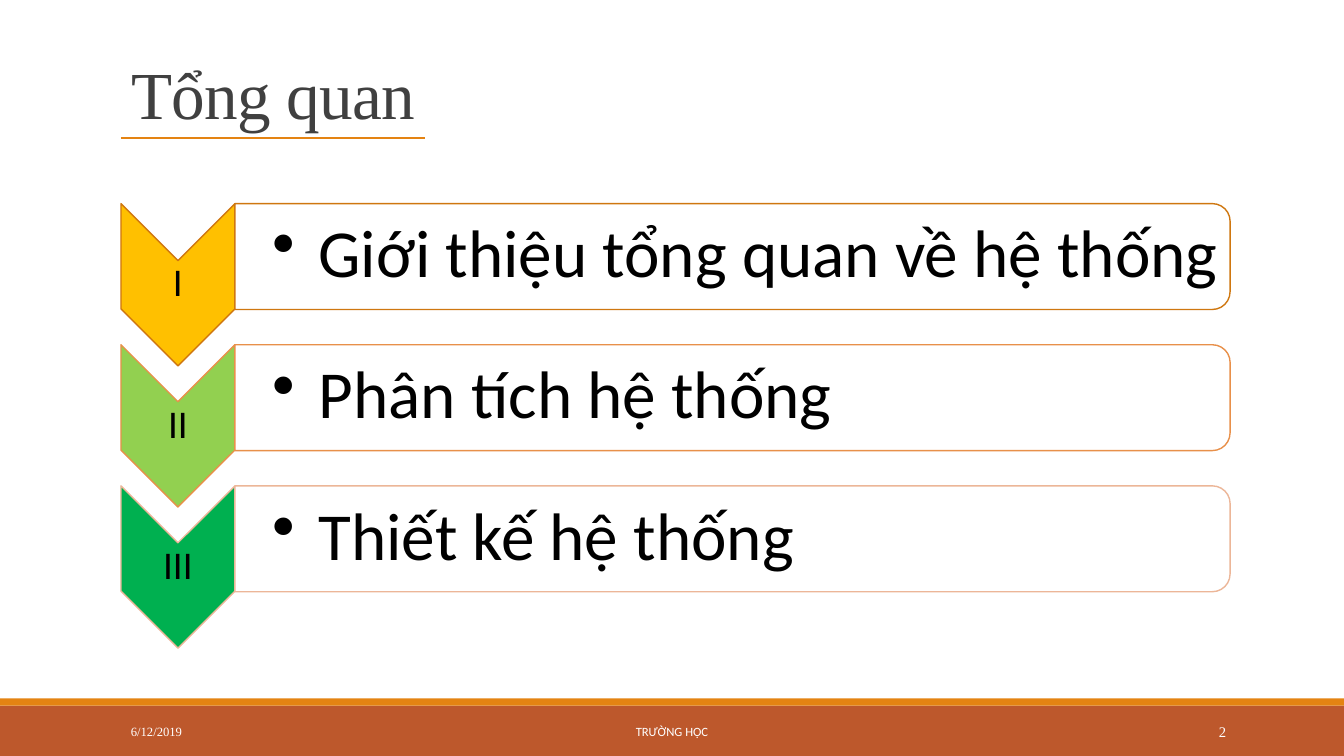
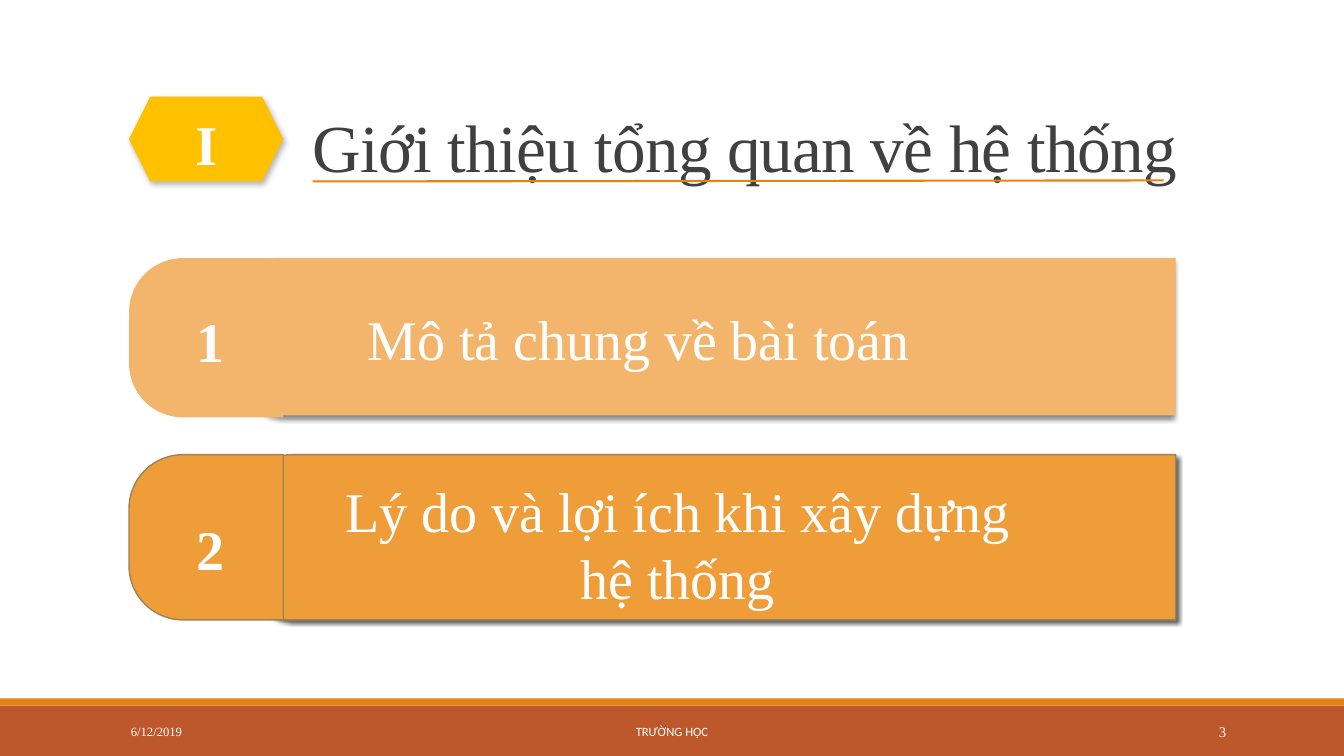
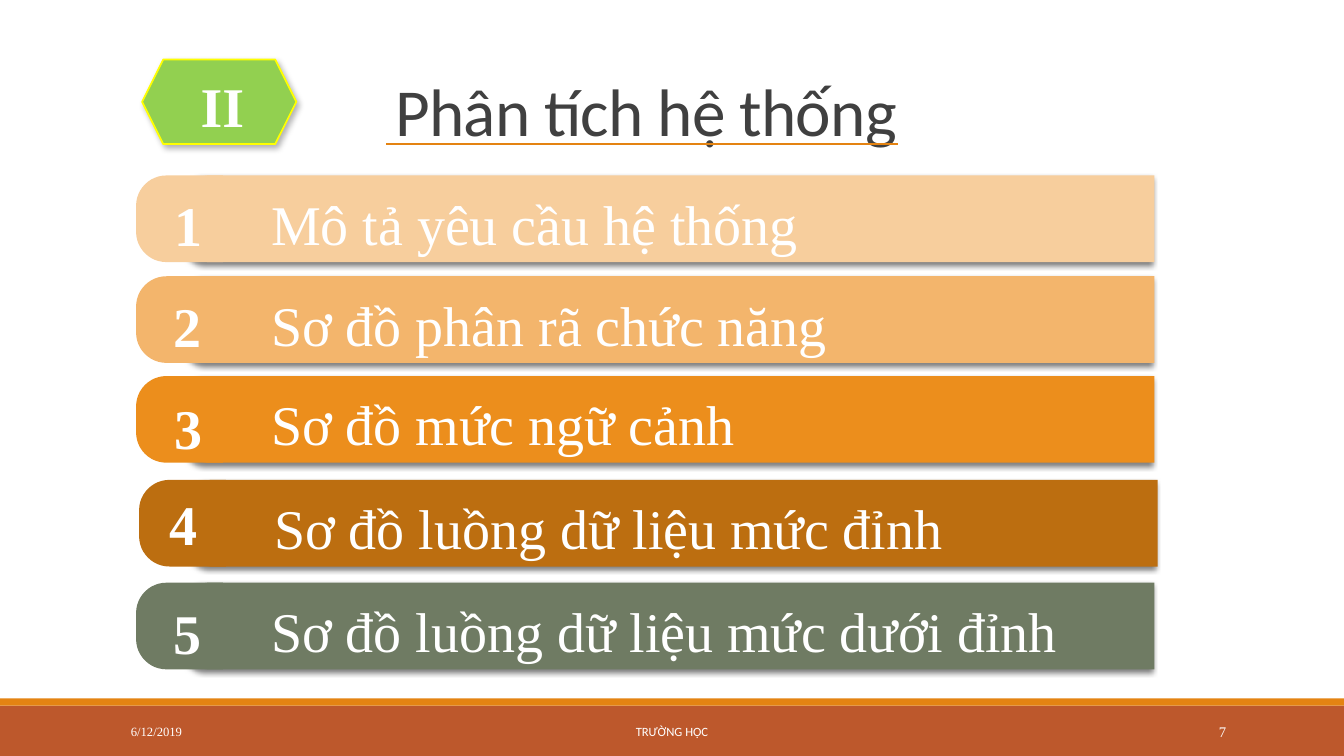
from lxml import etree
from pptx import Presentation
from pptx.dml.color import RGBColor
from pptx.enum.shapes import MSO_CONNECTOR as Connector, MSO_SHAPE as Preset
from pptx.enum.text import MSO_ANCHOR as Anchor, MSO_AUTO_SIZE as AutoSize, PP_ALIGN as Align
from pptx.oxml.ns import qn
from pptx.util import Emu, Pt

PX = 9144  # 100 px to the inch
SERIF, SANS = "Times New Roman", "Calibri"
WHITE, BLACK, TITLE_GREY = "FFFFFF", "000000", "404040"
ORANGE, RUST = "E48312", "BD582C"
DATE, FOOTER = "6/12/2019", "TRƯỜNG HỌC"

# Shadows: opacity %, blur pt, distance pt, direction in degrees
BAR_SHADOW = (50, 4, 3, 135)
STRONG_SHADOW = (60, 3, 2, 45)
BADGE_SHADOW = (30, 4.5, 2.6, 53)


def px(*lengths):
    return [Emu(round(length * PX)) for length in lengths]


def rgb(value):
    return RGBColor.from_string(value)


def add_shadow(shape, opacity, blur, distance, direction):
    effects = shape._element.spPr.find(qn("a:effectLst"))
    shadow = etree.SubElement(
        effects, qn("a:outerShdw"), blurRad=str(Pt(blur)), dist=str(Pt(distance)),
        dir=str(direction * 60000), algn="ctr", rotWithShape="0")
    color = etree.SubElement(shadow, qn("a:srgbClr"), val=BLACK)
    etree.SubElement(color, qn("a:alpha"), val=str(opacity * 1000))


def add_shape(page, preset, box, fill, line=None, width=1, shadow=None, turn=0, adjust=()):
    """Draw a preset shape; box is how it appears after a turn of 0, 90 or 270 degrees."""
    left, top, wide, high = box
    if turn:
        left, top = left + (wide - high) / 2, top + (high - wide) / 2
        wide, high = high, wide
    shape = page.shapes.add_shape(preset, *px(left, top, wide, high))
    shape.rotation = turn
    for index, value in enumerate(adjust):
        shape.adjustments[index] = value
    shape.shadow.inherit = False
    shape.fill.solid()
    shape.fill.fore_color.rgb = rgb(fill)
    if line:
        shape.line.color.rgb = rgb(line)
        shape.line.width = Pt(width)
    else:
        shape.line.fill.background()
    if shadow:
        add_shadow(shape, *shadow)
    return shape


def style_paragraph(para, size, font, color, bold=False, align=Align.LEFT):
    para.alignment = align
    para.font.size = Pt(size)
    para.font.name = font
    para.font.bold = bold
    para.font.color.rgb = rgb(color)


def add_text(page, text, box, size, font=SERIF, color=WHITE, bold=False,
             align=Align.LEFT, anchor=Anchor.MIDDLE, insets=(10, 5, 10, 5)):
    frame = page.shapes.add_textbox(*px(*box)).text_frame
    frame.word_wrap = True
    frame.vertical_anchor = anchor
    (frame.margin_left, frame.margin_top,
     frame.margin_right, frame.margin_bottom) = px(*insets)
    para = frame.paragraphs[0]
    para.text = text
    style_paragraph(para, size, font, color, bold, align)
    return para


def add_bullet(para, indent):
    properties = para._p.get_or_add_pPr()
    properties.set("marL", str(indent * PX))
    properties.set("indent", str(-indent * PX))
    bullet = etree.Element(qn("a:buChar"), char="•")
    properties.find(qn("a:defRPr")).addprevious(bullet)


def add_underline(page, left, right, start_y, end_y):
    rule = page.shapes.add_connector(Connector.STRAIGHT, *px(left, start_y, right, end_y))
    rule.line.color.rgb = rgb(ORANGE)
    rule.line.width = Pt(1.5)
    etree.SubElement(rule._element.spPr, qn("a:effectLst"))


def add_bands(page, layout):
    """Draw the bottom bands and move them to the layout that all pages share."""
    for position, (box, fill) in enumerate(
            [((0, 700, 1333, 50), RUST), ((0, 693, 1333, 7), ORANGE)], start=2):
        band = add_shape(page, Preset.RECTANGLE, box, fill)
        layout.shapes.element.insert(position, band._element)


def add_page(deck, layout, title, title_box, number, font=SERIF):
    page = deck.slides.add_slide(layout)
    holder = page.shapes.title
    holder.left, holder.top, holder.width, holder.height = px(*title_box)
    frame = holder.text_frame
    frame.text = title
    frame.word_wrap = True
    frame.auto_size = AutoSize.NONE
    frame.vertical_anchor = Anchor.BOTTOM
    para = frame.paragraphs[0]
    style_paragraph(para, 48, font, TITLE_GREY)
    para.line_spacing = 0.85
    para._p.pPr.find(qn("a:defRPr")).set("spc", "-50")

    add_text(page, DATE, (120, 706, 270, 40), 9)
    add_text(page, FOOTER, (403, 706, 527, 40), 9, SANS, align=Align.CENTER)
    add_text(page, str(number), (1083, 706, 143, 40), 10.5, align=Align.RIGHT)
    return page


def add_number(page, text, left, top):
    add_text(page, text, (left, top, 85, 77), 40, bold=True, align=Align.CENTER)


def add_badge(page, numeral, left, top, number_left, fill, line=None):
    add_shape(page, Preset.HEXAGON, (left, top, 153, 84), fill, line, 1.25, BADGE_SHADOW)
    add_number(page, numeral, number_left, top + 7)


def add_bar(page, tab_box, bar_box, fill, line=None, shadow=BAR_SHADOW):
    """Draw a long bar with a rounded tab over its left end."""
    preset = Preset.ROUND_2_SAME_RECTANGLE
    add_shape(page, preset, bar_box, fill, line, shadow=shadow, turn=270, adjust=(0.23, 0))
    add_shape(page, preset, tab_box, fill, line, turn=270, adjust=(0.35, 0))


def add_chapter(page, top, numeral, text, fill, line):
    add_shape(page, Preset.CHEVRON, (120, top, 113, 161), fill, line, turn=90)
    para = add_text(page, numeral, (120, top + 56, 113, 48), 28, SANS, BLACK,
                    align=Align.CENTER, insets=(2, 2, 2, 2))
    para.line_spacing = 0.9
    add_shape(page, Preset.ROUND_2_SAME_RECTANGLE, (233, top, 987, 105), WHITE, line, turn=90)
    para = add_text(page, text, (233, top + 5, 982, 94), 48, SANS, BLACK,
                    insets=(37, 3, 3, 3))
    para.line_spacing = 0.9
    add_bullet(para, 46)


def fill_overview(page):
    add_underline(page, 120, 422, 137, 137)
    chapters = [
        ("I", "Giới thiệu tổng quan về hệ thống", "FFC000", "CF7710"),
        ("II", "Phân tích hệ thống", "92D050", "E8904A"),
        ("III", "Thiết kế hệ thống", "00B050", "ECB698"),
    ]
    for row, chapter in enumerate(chapters):
        add_chapter(page, 202 + 140 * row, *chapter)


def fill_introduction(page):
    add_bar(page, (128, 256, 153, 158), (247, 256, 919, 156), "F3B56C")
    add_bar(page, (128, 451, 153, 164), (251, 451, 915, 164), "EF9D39", "9B8357",
            STRONG_SHADOW)
    topics = [
        ("Mô tả chung về bài toán", (310, 297, 647, 77), 299),
        ("Lý do và lợi ích khi xây dựng hệ thống", (327, 468, 690, 145), 505),
    ]
    for number, (text, box, number_top) in enumerate(topics, start=1):
        add_text(page, text, box, 40, align=Align.CENTER, anchor=Anchor.TOP)
        add_number(page, str(number), 166, number_top)
    add_badge(page, "I", 128, 96, 162, "FFC000")
    add_underline(page, 310, 1154, 180, 179)


def fill_analysis(page):
    add_badge(page, "II", 141, 59, 178, "92D050", "FFFF00")
    add_underline(page, 383, 891, 143, 143)
    # Text, fill, left and top of the row, left and top of its number
    topics = [
        ("Mô tả yêu cầu hệ thống", "F7CE9D", 135, 174, 144, 184),
        ("Sơ đồ phân rã chức năng", "F3B56C", 135, 274, 143, 284),
        ("Sơ đồ mức ngữ cảnh", "EC8E1C", 135, 373, 144, 385),
        ("Sơ đồ luồng dữ liệu mức đỉnh", "BC6E10", 138, 476, 139, 480),
        ("Sơ đồ luồng dữ liệu mức dưới đỉnh", "6F7B63", 135, 578, 143, 589),
    ]
    for number, (text, fill, left, top, number_left, number_top) in enumerate(topics, start=1):
        add_bar(page, (left, top, 86, 86), (left + 51, top, 959, 86), fill)
        add_text(page, text, (left + 124, top + 9, 865, 77), 40, anchor=Anchor.TOP)
        add_number(page, str(number), number_left, number_top)


def main():
    deck = Presentation()
    deck.slide_width, deck.slide_height = px(1333, 750)
    layout = deck.slide_layouts[5]

    overview = add_page(deck, layout, "Tổng quan", (120, 49, 1100, 88), 2)
    add_bands(overview, layout)
    fill_overview(overview)

    introduction = add_page(deck, layout, "Giới thiệu tổng quan về hệ thống",
                            (300, 31, 920, 159), 3)
    fill_introduction(introduction)

    analysis = add_page(deck, layout, "Phân tích hệ thống", (382, 29, 900, 125), 7, SANS)
    fill_analysis(analysis)

    deck.save("out.pptx")


if __name__ == "__main__":
    main()
